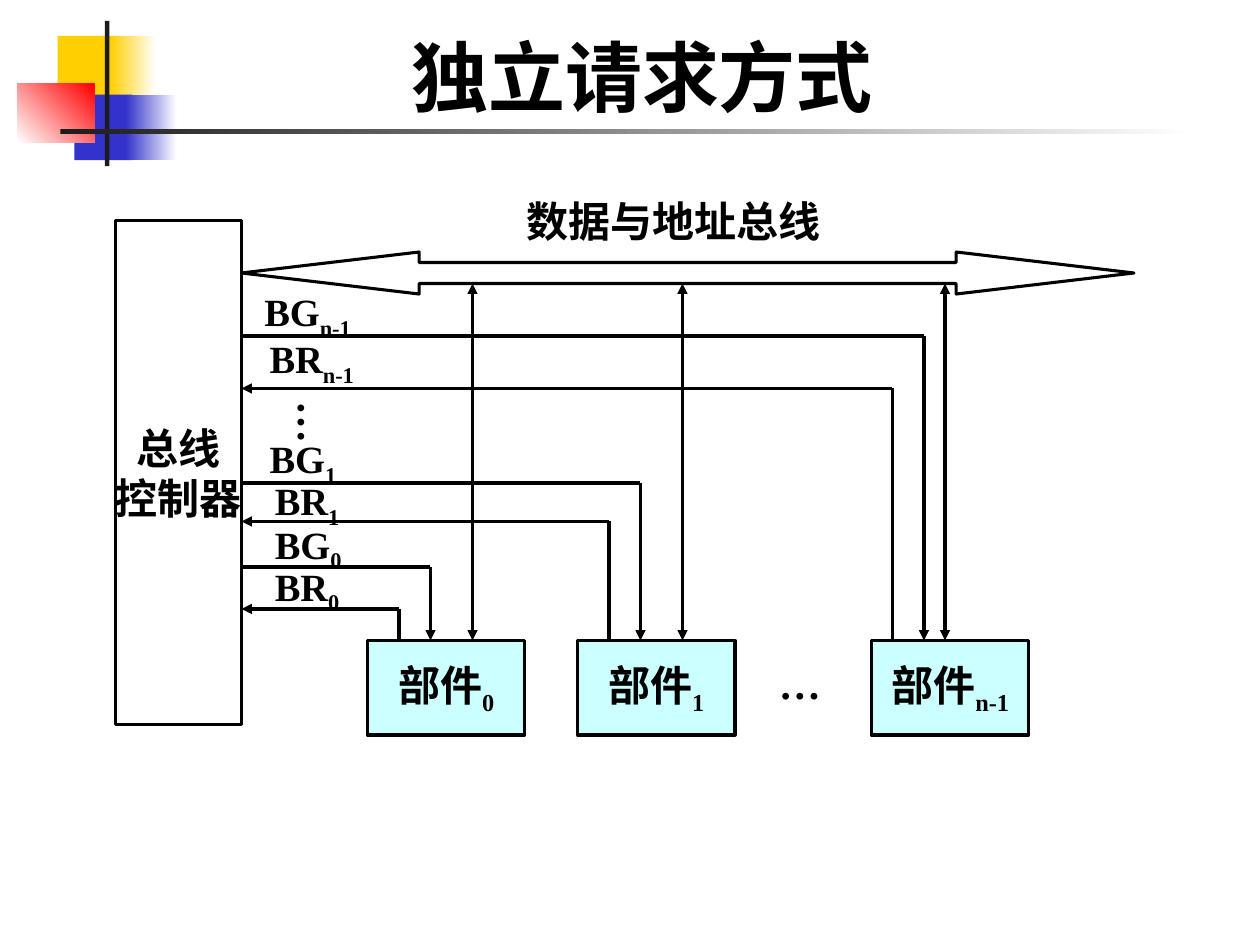
from dataclasses import dataclass
from typing import Optional

from lxml.etree import SubElement
from pptx import Presentation
from pptx.dml.color import RGBColor
from pptx.enum.shapes import MSO_CONNECTOR as Link, MSO_SHAPE as Kind
from pptx.enum.text import MSO_ANCHOR as Anchor, PP_ALIGN as Align
from pptx.oxml.ns import qn
from pptx.util import Pt

BLACK = RGBColor(0x00, 0x00, 0x00)
WHITE = RGBColor(0xFF, 0xFF, 0xFF)
DARK = RGBColor(0x1C, 0x1C, 0x1C)
GOLD = RGBColor(0xFF, 0xCF, 0x01)
BLUE = RGBColor(0x33, 0x33, 0xCC)
RED = RGBColor(0xFF, 0x00, 0x00)
CYAN = RGBColor(0xCC, 0xFF, 0xFF)
SERIF, SANS = "Times New Roman", "Karla"
STROKE = 1.75


@dataclass
class Box:
    left: float
    top: float
    width: float
    height: float

    def lengths(self) -> tuple:
        return Pt(self.left), Pt(self.top), Pt(self.width), Pt(self.height)


@dataclass
class Decor:
    """A block of the corner ornament; with an end colour it fades at an angle."""
    box: Box
    start: RGBColor
    end: Optional[RGBColor] = None
    angle: float = 0


@dataclass
class Signal:
    """A line between controller and unit: height, drop and label corner."""
    name: str
    y: float
    x: float
    left: float
    top: float


@dataclass
class Unit:
    sub: str
    left: float
    data: float
    grant: Signal
    request: Signal


DECOR = [
    Decor(Box(33, 20.5, 34.5, 37.5), GOLD),
    Decor(Box(63, 20.5, 26, 37.5), GOLD, WHITE),
    Decor(Box(42.5, 54, 33, 37.5), BLUE),
    Decor(Box(72, 54, 29, 37.5), BLUE, WHITE),
    Decor(Box(10, 48, 44, 33.5), WHITE, RED, 45),
    Decor(Box(60, 12, 2.5, 83), DARK),
    Decor(Box(34.5, 74, 648, 2.5), DARK, WHITE),
]
CTRL = Box(66, 126, 72, 288)
EDGE = CTRL.left + CTRL.width
BUS = Box(EDGE, 144, 510, 24)
BASE = 366  # top of the units
TAP = 162  # lower edge of the bus
UNITS = [
    Unit("0", 210, 270, Signal("BG", 324, 246, 150, 294),
         Signal("BR", 348, 228, 150, 318)),
    Unit("1", 330, 390, Signal("BG", 276, 366, 147, 245),
         Signal("BR", 298, 348, 150, 269)),
    Unit("n-1", 498, 540, Signal("BG", 192, 528, 144, 161),
         Signal("BR", 222, 510, 147, 188)),
]


def write(frame, text: str, size: float, font: str = SERIF, sub: str = "",
          align: Align = Align.LEFT) -> None:
    """Fill a text frame with bold text and an optional subscript."""
    frame.text = text
    if sub:
        run = frame.paragraphs[0].add_run()
        run.text = sub
        run.font._element.set("baseline", "-25000")
    for para in frame.paragraphs:
        para.alignment = align
        for run in para.runs:
            run.font.size = Pt(size)
            run.font.bold = True
            run.font.name = font
            run.font.color.rgb = BLACK


def label(slide, box: Box, text: str, size: float = 24, font: str = SERIF,
          sub: str = ""):
    frame = slide.shapes.add_textbox(*box.lengths()).text_frame
    frame.word_wrap = True
    write(frame, text, size, font, sub)
    return frame


def block(slide, box: Box, fill: RGBColor, kind: Kind = Kind.RECTANGLE):
    """Draw an outlined shape."""
    shape = slide.shapes.add_shape(kind, *box.lengths())
    shape.shadow.inherit = False
    shape.fill.solid()
    shape.fill.fore_color.rgb = fill
    shape.line.color.rgb = BLACK
    shape.line.width = Pt(STROKE)
    return shape


def node(slide, box: Box, fill: RGBColor, text: str, font: str,
         sub: str = "") -> None:
    """Draw a rectangle with centred text."""
    frame = block(slide, box, fill).text_frame
    frame.word_wrap = False
    frame.vertical_anchor = Anchor.MIDDLE
    write(frame, text, 24, font, sub, Align.CENTER)


def paint(slide, decor: Decor) -> None:
    shape = slide.shapes.add_shape(Kind.RECTANGLE, *decor.box.lengths())
    shape.shadow.inherit = False
    shape.line.fill.background()
    if decor.end is None:
        shape.fill.solid()
        shape.fill.fore_color.rgb = decor.start
        return
    shape.fill.gradient()
    shape.fill.gradient_angle = decor.angle
    for stop, color in zip(shape.fill.gradient_stops, (decor.start, decor.end)):
        stop.color.rgb = color


def wire(slide, x1: float, y1: float, x2: float, y2: float,
         ends: tuple = ()) -> None:
    """Draw a line; ends names the arrowheads, headEnd before tailEnd."""
    line = slide.shapes.add_connector(Link.STRAIGHT, Pt(x1), Pt(y1),
                                      Pt(x2), Pt(y2))
    line.line.color.rgb = BLACK
    line.line.width = Pt(STROKE)
    for end in ends:
        SubElement(line.line._get_or_add_ln(), qn(f"a:{end}"), type="triangle")
    SubElement(line._element.spPr, qn("a:effectLst"))


def draw(slide, unit: Unit) -> None:
    """Draw a unit with its bus tap and its two signals."""
    node(slide, Box(unit.left, BASE, 90, 54), CYAN, "部件", SERIF, unit.sub)
    wire(slide, unit.data, TAP, unit.data, BASE, ("headEnd", "tailEnd"))
    grant, ask = unit.grant, unit.request
    wire(slide, EDGE, grant.y, grant.x, grant.y)
    wire(slide, grant.x, grant.y, grant.x, BASE, ("tailEnd",))
    wire(slide, ask.x, BASE, ask.x, ask.y)
    wire(slide, ask.x, ask.y, EDGE, ask.y, ("tailEnd",))
    for sig in (grant, ask):
        label(slide, Box(sig.left, sig.top, 78, 37.5), sig.name, 22,
              sub=unit.sub)


def main() -> None:
    deck = Presentation()
    deck.slide_width, deck.slide_height = Pt(720), Pt(540)
    slide = deck.slides.add_slide(deck.slide_layouts[6])
    for decor in DECOR:
        paint(slide, decor)

    title = label(slide, Box(30, 6, 674, 67), "独立请求方式", 44)
    title.vertical_anchor = Anchor.BOTTOM
    title.paragraphs[0].alignment = Align.CENTER

    node(slide, CTRL, WHITE, "总线\n控制器", SANS)
    bus = block(slide, BUS, WHITE, Kind.LEFT_RIGHT_ARROW)
    bus.adjustments[0], bus.adjustments[1] = 0.5, 4.23
    label(slide, Box(294, 108, 192, 36), "数据与地址总线", font=SANS)

    for unit in UNITS:
        draw(slide, unit)
    label(slide, Box(438, 372, 48, 36), "…")
    dots = label(slide, Box(155, 222, 43, 36), "…")
    dots.margin_left = dots.margin_right = Pt(3.6)
    dots.margin_top = dots.margin_bottom = Pt(7.2)
    dots._txBody.bodyPr.set("vert", "eaVert")

    deck.save("out.pptx")


if __name__ == "__main__":
    main()
